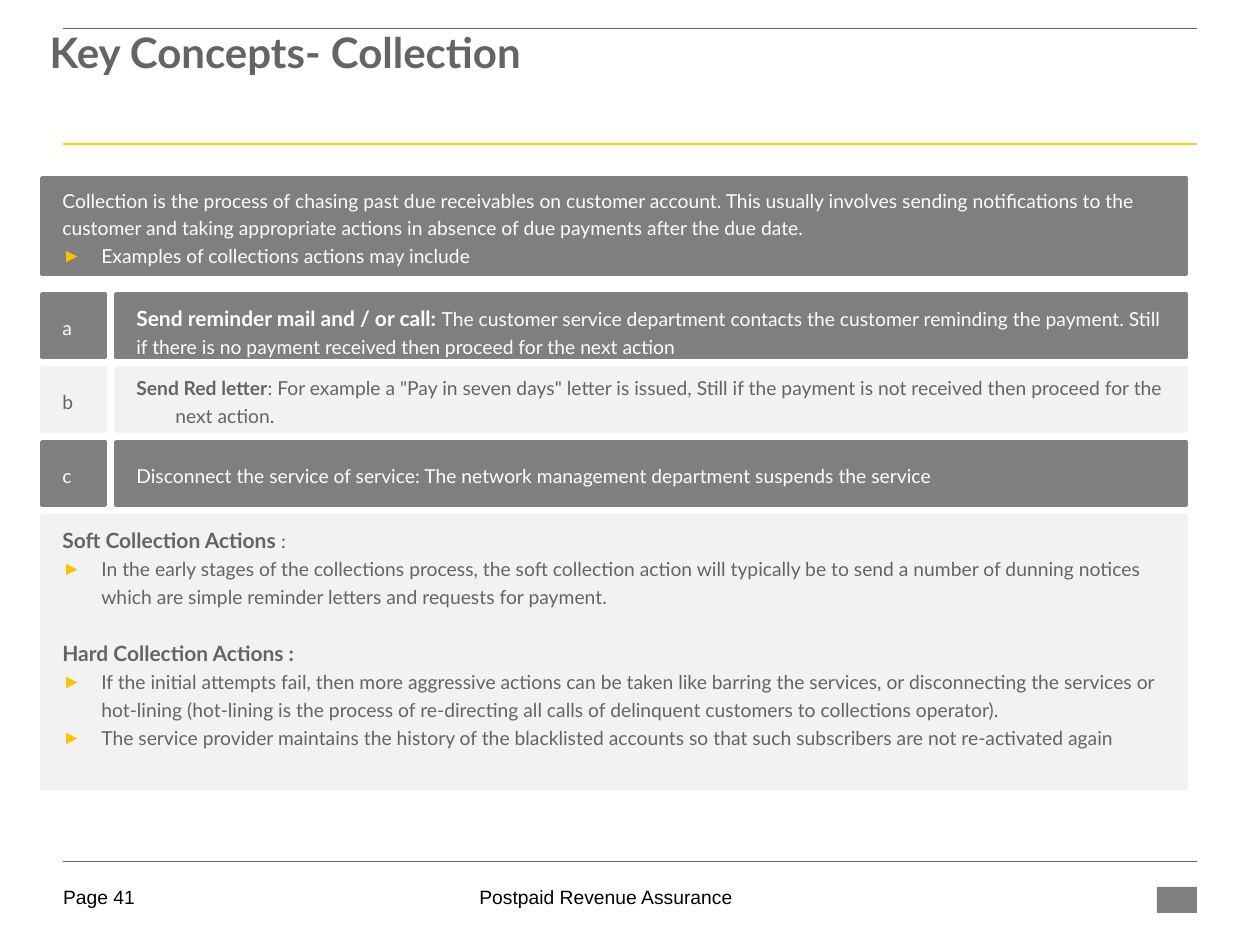
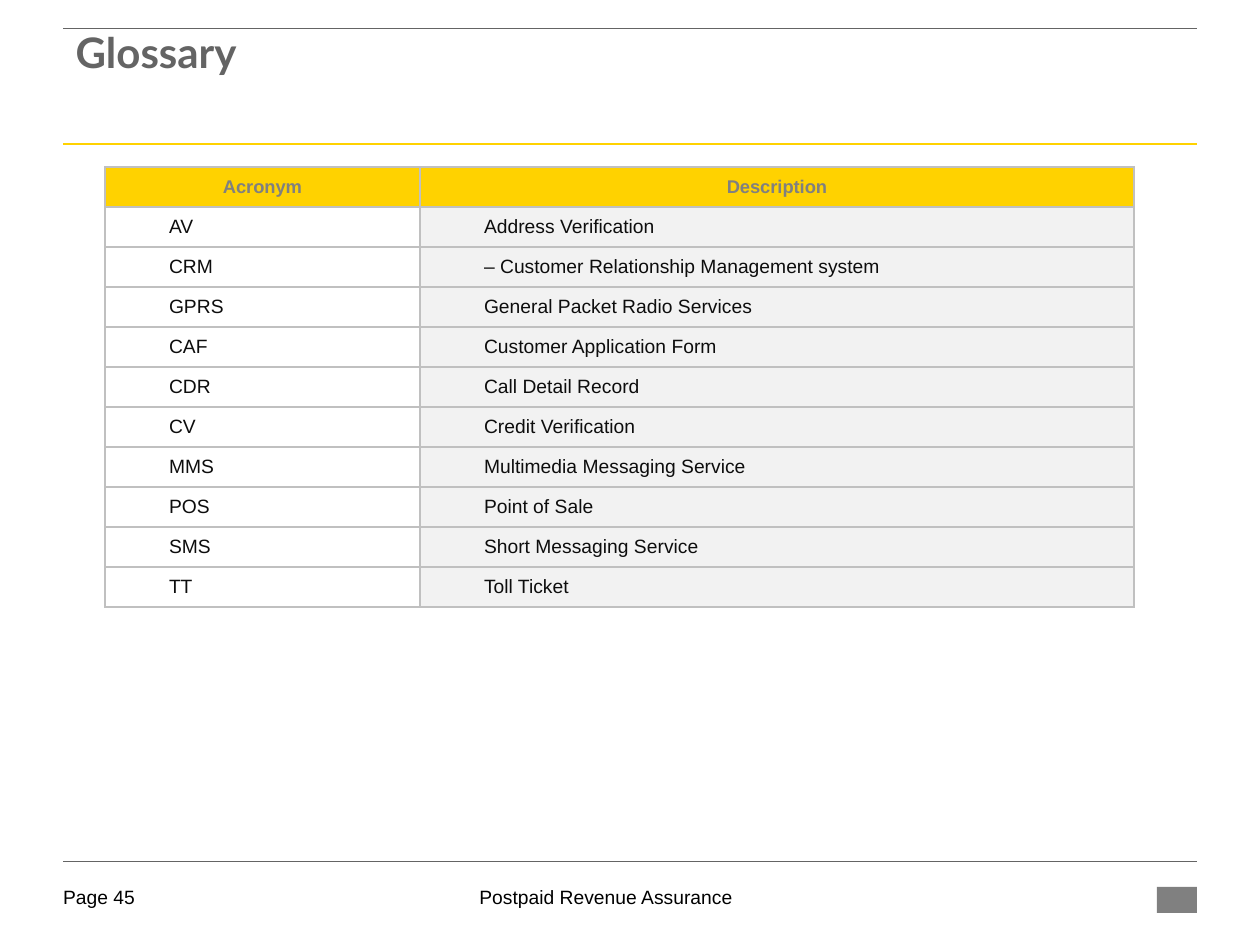
from dataclasses import dataclass

from lxml import etree
from pptx import Presentation, util as u
from pptx.dml.color import RGBColor
from pptx.enum import shapes, text
from pptx.oxml import ns

EMU_PER_PX = 914400 / 126
PAGE_WIDTH, PAGE_HEIGHT = 1260, 945
MARGIN_LEFT, MARGIN_RIGHT = 63, 1197
TOP_RULE = 28


@dataclass(frozen=True)
class Theme:
    ink: str = "646464"
    black: str = "000000"
    near_black: str = "0D0D0D"
    white: str = "FFFFFF"
    yellow: str = "FFD200"
    amber: str = "FFC000"
    gray: str = "808080"
    panel_gray: str = "7F7F7F"
    pale: str = "F2F2F2"
    border: str = "C0C0C0"
    heading_font: str = "Lato"
    plain_font: str = "Arial"
    title_size: float = 24
    lead_size: float = 12
    body_size: float = 11
    header_size: float = 10.5


THEME = Theme()


@dataclass(frozen=True)
class Box:
    left: int
    top: int
    width: int
    height: int


@dataclass(frozen=True)
class Rule:
    y: int
    color: str
    points: float


@dataclass(frozen=True)
class Line:
    """A paragraph: an optional bold lead, then body text."""
    body: str = ""
    lead: str = ""
    lead_size: float = THEME.body_size
    hanging: bool = False
    bullet: bool = False
    gap_before: float = 0


@dataclass(frozen=True)
class PanelStyle:
    fill: str
    edge: str
    ink: str


@dataclass(frozen=True)
class Step:
    letter: str
    line: Line
    style: PanelStyle
    anchor: text.MSO_ANCHOR = text.MSO_ANCHOR.MIDDLE


DARK = PanelStyle(THEME.panel_gray, THEME.gray, THEME.white)
LIGHT = PanelStyle(THEME.pale, THEME.pale, THEME.ink)

RULES = (
    Rule(144, THEME.yellow, 1.5),
    Rule(861, THEME.ink, 0.25),
    Rule(TOP_RULE, THEME.ink, 0.5),
)

INTRO = (
    Line("Collection is the process of chasing past due receivables on customer account. "
         "This usually involves sending notifications to the customer and taking appropriate "
         "actions in absence of due payments after the due date."),
    Line("Examples of collections actions may include", bullet=True),
)
STEPS = (
    Step("a", Line("The customer service department contacts the customer reminding the payment. "
                   "Still if there is no payment received then proceed for the next action",
                   lead="Send reminder mail and / or call: ", lead_size=THEME.lead_size),
         DARK, text.MSO_ANCHOR.TOP),
    Step("b", Line(': For example a "Pay in seven days" letter is issued, Still if the payment '
                   "is not received then proceed for the next action.",
                   lead="Send Red letter", hanging=True), LIGHT),
    Step("c", Line("Disconnect the service of service: The network management department "
                   "suspends the service", hanging=True), DARK),
)
ACTIONS = (
    Line(":", lead="Soft Collection Actions ", lead_size=THEME.lead_size),
    Line("In the early stages of the collections process, the soft collection action will "
         "typically be to send a number of dunning notices which are simple reminder letters "
         "and requests for payment.", bullet=True),
    Line(lead="Hard Collection Actions :", lead_size=THEME.lead_size, gap_before=16),
    Line("If the initial attempts fail, then more aggressive actions can be taken like barring "
         "the services, or disconnecting the services or hot-lining (hot-lining is the process "
         "of re-directing all calls of delinquent customers to collections operator).",
         bullet=True),
    Line("The service provider maintains the history of the blacklisted accounts so that such "
         "subscribers are not re-activated again", bullet=True),
)
GLOSSARY = (
    ("Acronym", "Description"),
    ("AV", "Address Verification"),
    ("CRM", "– Customer Relationship Management system"),
    ("GPRS", "General Packet Radio Services"),
    ("CAF", "Customer Application Form"),
    ("CDR", "Call Detail Record"),
    ("CV", "Credit Verification"),
    ("MMS", "Multimedia Messaging Service"),
    ("POS", "Point of Sale"),
    ("SMS", "Short Messaging Service"),
    ("TT", "Toll Ticket"),
)


def px(length: float) -> u.Emu:
    return u.Emu(round(length * EMU_PER_PX))


def place(box: Box) -> tuple:
    return px(box.left), px(box.top), px(box.width), px(box.height)


def rgb(color: str) -> RGBColor:
    return RGBColor.from_string(color)


def set_font(font, name: str, size: float, color: str, bold: bool = False) -> None:
    font.name, font.size, font.bold = name, u.Pt(size), bold
    font.color.rgb = rgb(color)


def set_indent(para, margin: int, first: int = 0) -> None:
    properties = para._p.get_or_add_pPr()
    properties.set("marL", str(px(margin)))
    properties.set("indent", str(px(first)))


def add_bullet(para) -> None:
    properties = para._p.get_or_add_pPr()
    color = etree.SubElement(properties, ns.qn("a:buClr"))
    etree.SubElement(color, ns.qn("a:srgbClr"), val=THEME.amber)
    etree.SubElement(properties, ns.qn("a:buFont"), typeface=THEME.plain_font)
    etree.SubElement(properties, ns.qn("a:buChar"), char="►")


def write_line(para, line: Line, color: str) -> None:
    if line.hanging or line.bullet:
        set_indent(para, 47, -39)
    else:
        set_indent(para, 8)
    para.alignment = text.PP_ALIGN.LEFT
    para.line_spacing = 1.2
    if line.gap_before:
        para.space_before = u.Pt(line.gap_before)
    if line.bullet:
        add_bullet(para)
    set_font(para.font, THEME.heading_font, THEME.body_size, color)
    if line.lead:
        span = para.add_run()
        span.text = line.lead
        span.font.bold, span.font.size = True, u.Pt(line.lead_size)
    if line.body:
        para.add_run().text = line.body


def add_panel(page, box: Box, style: PanelStyle, lines: tuple[Line, ...],
              anchor: text.MSO_ANCHOR = text.MSO_ANCHOR.TOP) -> None:
    panel = page.shapes.add_shape(shapes.MSO_SHAPE.RECTANGLE, *place(box))
    panel.shadow.inherit = False
    panel.fill.solid()
    panel.fill.fore_color.rgb = rgb(style.fill)
    panel.line.color.rgb = rgb(style.edge)
    panel.line.width = u.Pt(2)
    frame = panel.text_frame
    frame.word_wrap = True
    frame.vertical_anchor = anchor
    for index, line in enumerate(lines):
        para = frame.add_paragraph() if index else frame.paragraphs[0]
        write_line(para, line, style.ink)


def add_rule(page, rule: Rule) -> None:
    line = page.shapes.add_connector(shapes.MSO_CONNECTOR.STRAIGHT, px(MARGIN_LEFT),
                                     px(rule.y), px(MARGIN_RIGHT), px(rule.y))
    line.line.color.rgb = rgb(rule.color)
    line.line.width = u.Pt(rule.points)
    etree.SubElement(line._element.spPr, ns.qn("a:effectLst"))


def add_footer_text(page, box: Box, words: str, alignment: text.PP_ALIGN) -> None:
    frame = page.shapes.add_textbox(*place(box)).text_frame
    frame.word_wrap = True
    frame.margin_left = frame.margin_right = frame.margin_top = frame.margin_bottom = 0
    para = frame.paragraphs[0]
    para.text = words
    para.alignment = alignment
    set_font(para.font, THEME.plain_font, THEME.body_size, THEME.black)


def add_page(deck, title: str, title_left: int, title_width: int, number: int):
    """Add a slide with the shared rules, footer, emblem block and title."""
    page = deck.slides.add_slide(deck.slide_layouts[5])
    for rule in RULES:
        add_rule(page, rule)
    add_footer_text(page, Box(346, 885, 520, 29), "Postpaid Revenue Assurance",
                    text.PP_ALIGN.CENTER)
    add_footer_text(page, Box(MARGIN_LEFT, 885, 92, 28), f"Page {number}", text.PP_ALIGN.LEFT)
    emblem = page.shapes.add_shape(shapes.MSO_SHAPE.RECTANGLE, *place(Box(1157, 887, 40, 26)))
    emblem.shadow.inherit = False
    emblem.fill.solid()
    emblem.fill.fore_color.rgb = rgb(THEME.gray)
    emblem.line.fill.background()

    heading = page.shapes.title
    heading.left, heading.top, heading.width, heading.height = place(
        Box(title_left, TOP_RULE, title_width, 118))
    frame = heading.text_frame
    frame.auto_size = text.MSO_AUTO_SIZE.NONE
    frame.vertical_anchor = text.MSO_ANCHOR.TOP
    para = frame.paragraphs[0]
    para.text = title
    para.alignment = text.PP_ALIGN.LEFT
    para.line_spacing = 0.85
    set_font(para.font, THEME.heading_font, THEME.title_size, THEME.ink, bold=True)
    return page


def build_collection(deck) -> None:
    page = add_page(deck, "Key Concepts- Collection", 37, 1197, 41)
    left, width, top, pitch, side, text_left = 42, 1144, 294, 74, 63, 116
    add_panel(page, Box(left, 178, width, 96), DARK, INTRO)
    for index, step in enumerate(STEPS):
        row_top = top + index * pitch
        add_panel(page, Box(text_left, row_top, left + width - text_left, side),
                  step.style, (step.line,), step.anchor)
        add_panel(page, Box(left, row_top, side, side), step.style,
                  (Line(step.letter),), text.MSO_ANCHOR.MIDDLE)
    add_panel(page, Box(left, top + len(STEPS) * pitch, width, 272), LIGHT, ACTIONS)


def add_borders(cell) -> None:
    properties = cell._tc.get_or_add_tcPr()
    for side in ("lnL", "lnR", "lnT", "lnB"):
        edge = etree.SubElement(properties, ns.qn(f"a:{side}"), w=str(u.Pt(1)))
        fill = etree.SubElement(edge, ns.qn("a:solidFill"))
        etree.SubElement(fill, ns.qn("a:srgbClr"), val=THEME.border)


def format_cell(cell, words: str, is_header: bool, fill: str) -> None:
    add_borders(cell)
    cell.fill.solid()
    cell.fill.fore_color.rgb = rgb(fill)
    cell.vertical_anchor = text.MSO_ANCHOR.MIDDLE
    cell.margin_left = cell.margin_right = px(6 if is_header else 1)
    cell.margin_top = cell.margin_bottom = px(3 if is_header else 1)
    para = cell.text_frame.paragraphs[0]
    para.text = words
    if is_header:
        para.alignment = text.PP_ALIGN.CENTER
        set_font(para.font, THEME.plain_font, THEME.header_size, THEME.gray, bold=True)
    else:
        set_indent(para, 63)
        set_font(para.font, THEME.plain_font, THEME.body_size, THEME.near_black)


def build_glossary(deck) -> None:
    page = add_page(deck, "Glossary", MARGIN_LEFT, MARGIN_RIGHT - MARGIN_LEFT, 45)
    widths, row_height = (315, 714), 40
    box = Box(105, 167, sum(widths), row_height * len(GLOSSARY))
    table = page.shapes.add_table(len(GLOSSARY), len(widths), *place(box)).table
    table.first_row = table.horz_banding = False
    for column, width in zip(table.columns, widths):
        column.width = px(width)
    for row_index, entry in enumerate(GLOSSARY):
        table.rows[row_index].height = px(row_height)
        is_header = row_index == 0
        for column_index, words in enumerate(entry):
            fill = THEME.yellow if is_header else (THEME.white, THEME.pale)[column_index]
            format_cell(table.cell(row_index, column_index), words, is_header, fill)


def main() -> None:
    deck = Presentation()
    deck.slide_width, deck.slide_height = px(PAGE_WIDTH), px(PAGE_HEIGHT)
    build_collection(deck)
    build_glossary(deck)
    deck.save("out.pptx")


if __name__ == "__main__":
    main()
